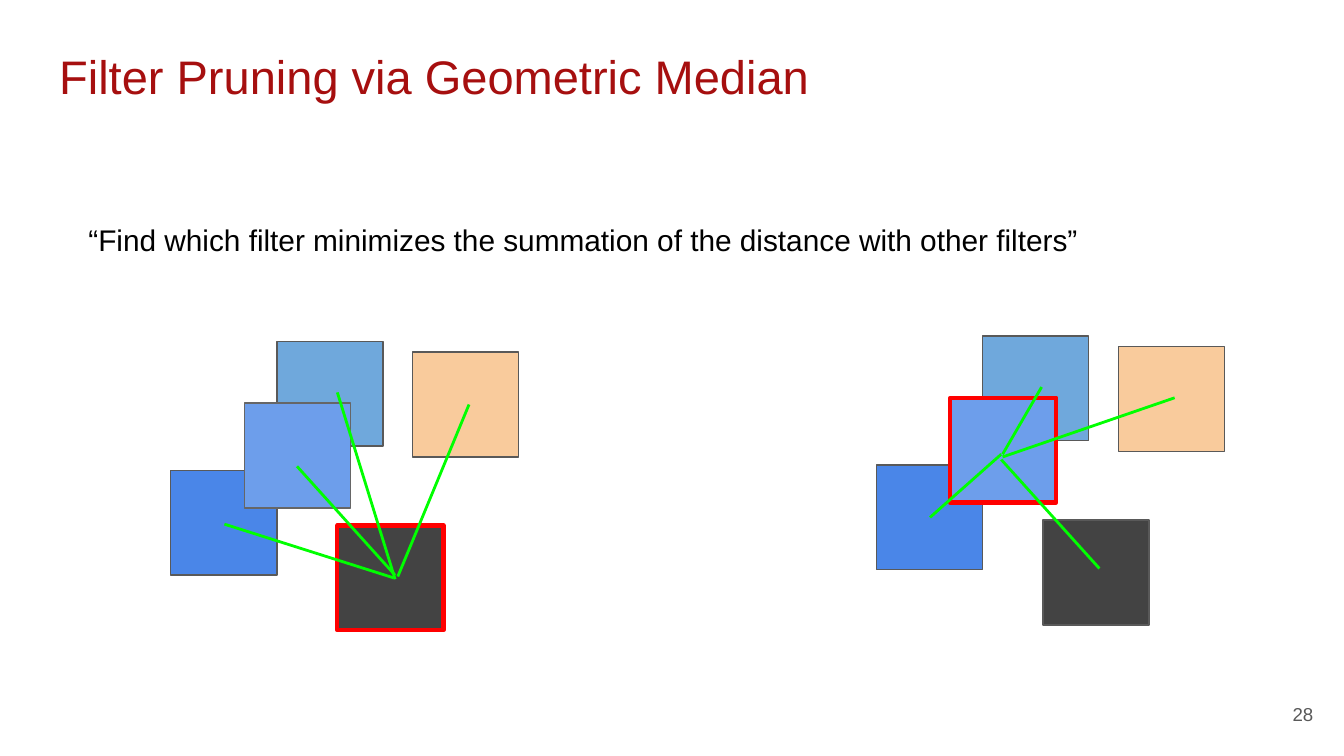
from lxml import etree
from pptx import Presentation
from pptx import util as u
from pptx.dml.color import RGBColor
from pptx.enum import shapes, text
from pptx.oxml.ns import qn

SLIDE_WIDTH = 10
SLIDE_HEIGHT = SLIDE_WIDTH * 9 / 16
FILTER_WIDTH, FILTER_HEIGHT = 0.79, 0.78
GREY, RED, GREEN = "595959", "FF0000", "00FF00"


def color(hex_value):
    return RGBColor.from_string(hex_value)


def write(shape, content, size, hex_value, align, anchor):
    frame = shape.text_frame
    frame.text = content
    frame.word_wrap = True
    frame.auto_size = text.MSO_AUTO_SIZE.NONE
    frame.vertical_anchor = anchor
    frame.margin_left = frame.margin_right = u.Inches(0.1)
    frame.margin_top = frame.margin_bottom = u.Inches(0.1)
    paragraph = frame.paragraphs[0]
    paragraph.alignment = align
    font = paragraph.runs[0].font
    font.name, font.size = "Arial", u.Pt(size)
    font.color.rgb = color(hex_value)
    return paragraph


presentation = Presentation()
presentation.slide_width = u.Inches(SLIDE_WIDTH)
presentation.slide_height = u.Inches(SLIDE_HEIGHT)
slide = presentation.slides.add_slide(presentation.slide_layouts[5])

title = slide.shapes.title
title.left, title.top = u.Inches(0.34), u.Inches(0.25)
title.width, title.height = u.Inches(9.32), u.Inches(0.63)
write(title, "Filter Pruning via Geometric Median", 25.2, "A60F0F",
      text.PP_ALIGN.LEFT, text.MSO_ANCHOR.TOP)

quote = slide.shapes.add_textbox(u.Inches(0.56), u.Inches(1.42), u.Inches(8.54), u.Inches(0.47))
quote_paragraph = write(
    quote, "“Find which filter minimizes the summation of the distance with other filters”",
    16, "000000", text.PP_ALIGN.LEFT, text.MSO_ANCHOR.TOP)
quote_paragraph.line_spacing = 1.5

page_number = slide.shapes.add_textbox(u.Inches(9.27), u.Inches(5.1), u.Inches(0.6), u.Inches(0.43))
write(page_number, "28", 10, GREY, text.PP_ALIGN.RIGHT, text.MSO_ANCHOR.MIDDLE)

filters = [
    ("sky", 0.79, 0, "6FA8DC"),
    ("blue", 0, 0.96, "4A86E8"),
    ("dark", 1.24, 1.37, "434343"),
    ("periwinkle", 0.55, 0.46, "6D9EEB"),
    ("peach", 1.8, 0.08, "F9CB9C"),
]
panels = [
    (6.52, 2.5, "periwinkle", GREY, [
        (0.4, 1.35, 0.93, 0.88),
        (0.94, 0.88, 1.23, 0.38),
        (0.93, 0.92, 1.66, 1.73),
        (0.94, 0.9, 2.22, 0.46),
    ]),
    (1.27, 2.54, "dark", "666666", [
        (0.4, 1.36, 1.66, 1.76),
        (1.67, 1.77, 1.24, 0.38),
        (0.94, 0.93, 1.67, 1.74),
        (1.69, 1.75, 2.22, 0.47),
    ]),
]

for left, top, chosen, periwinkle_outline, distances in panels:
    for name, column, row, fill in filters:
        square = slide.shapes.add_shape(
            shapes.MSO_SHAPE.RECTANGLE, u.Inches(left + column), u.Inches(top + row),
            u.Inches(FILTER_WIDTH), u.Inches(FILTER_HEIGHT))
        square.shadow.inherit = False
        square.fill.solid()
        square.fill.fore_color.rgb = color(fill)
        outline = periwinkle_outline if name == "periwinkle" else GREY
        square.line.color.rgb = color(RED if name == chosen else outline)
        square.line.width = u.Pt(2.25 if name == chosen else 0.75)
    for start_x, start_y, end_x, end_y in distances:
        distance = slide.shapes.add_connector(
            shapes.MSO_CONNECTOR.STRAIGHT,
            u.Inches(left + start_x), u.Inches(top + start_y),
            u.Inches(left + end_x), u.Inches(top + end_y))
        distance.line.color.rgb = color(GREEN)
        distance.line.width = u.Pt(1.5)
        etree.SubElement(distance._element.spPr, qn("a:effectLst"))

presentation.save("out.pptx")
